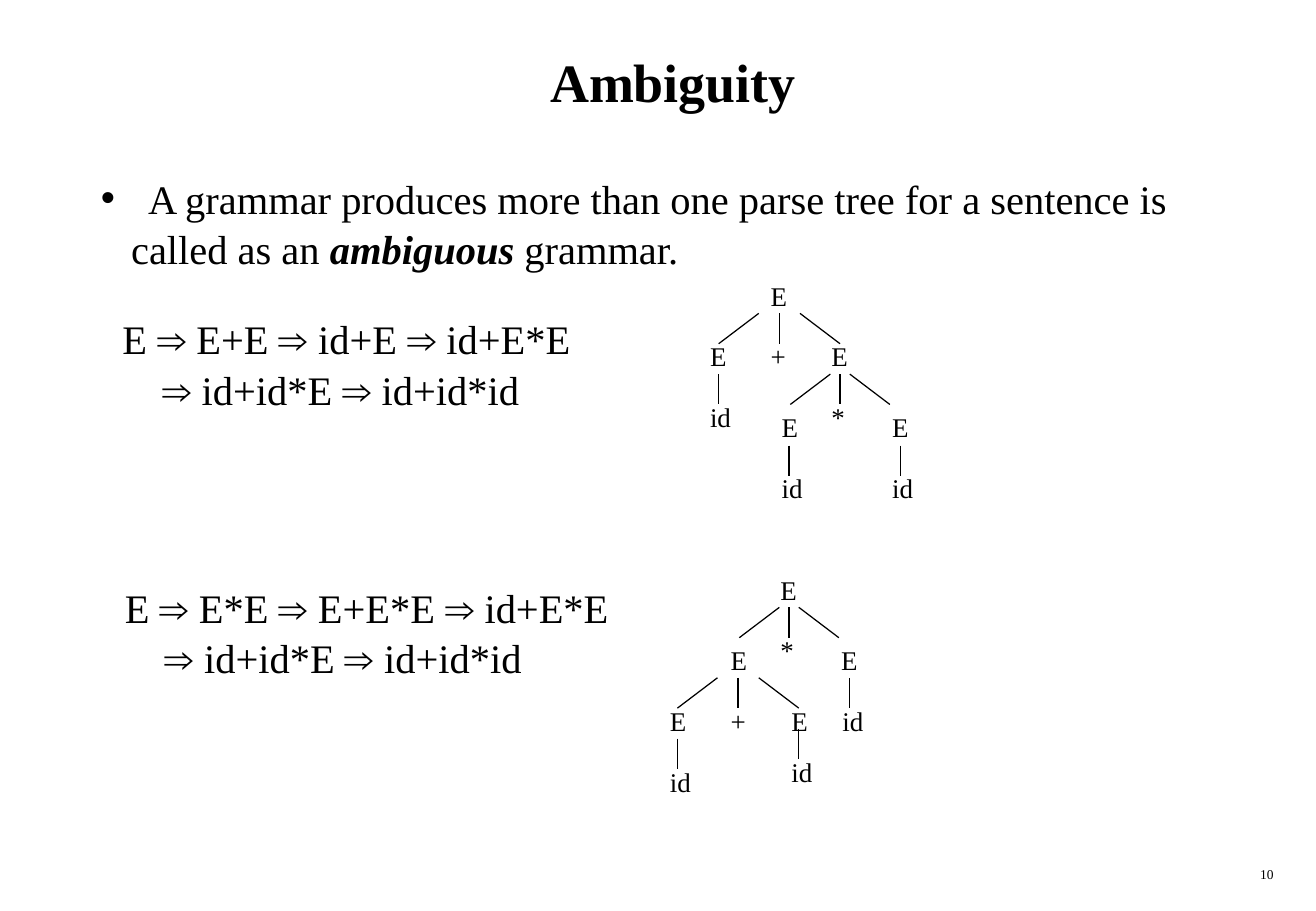
from itertools import groupby

from lxml import etree
from pptx import Presentation
from pptx.dml.color import RGBColor
from pptx.enum import shapes, text
from pptx.oxml import ns
from pptx.util import Inches, Pt

SERIF, ARROW_FONT, BLACK = "Times New Roman", "Arial", "000000"
TITLE = "Ambiguity"
PAGE_NUMBER = "10"
DEFINITION = [
    (0.39, -0.39, [("A grammar produces more than one parse tree for a sentence is", False)]),
    (0.25, 0, [("called as an ", False), ("ambiguous", True), (" grammar.", False)]),
]
DERIVATIONS = [
    (0.91, 2.54, ["E ⇒ E+E ⇒ id+E ⇒ id+E*E", "⇒ id+id*E ⇒ id+id*id"]),
    (0.93, 4.75, ["E ⇒ E*E ⇒ E+E*E ⇒ id+E*E", "⇒ id+id*E ⇒ id+id*id"]),
]
TREES = [
    {
        "nodes": [
            ("E", 6.25, 2.25), ("E", 5.75, 2.75), ("+", 6.25, 2.75), ("E", 6.75, 2.75),
            ("id", 5.75, 3.25), ("*", 6.75, 3.25), ("E", 6.34, 3.33), ("E", 7.25, 3.33),
            ("id", 6.34, 3.83), ("id", 7.25, 3.83),
        ],
        "fans": [(6.42, 2.58, 0.17), (6.92, 3.08, 0.08)],
        "stems": [(5.92, 3.08), (6.5, 3.67), (7.42, 3.67)],
    },
    {
        "nodes": [
            ("E", 6.33, 4.67), ("*", 6.33, 5.17), ("E", 5.92, 5.25), ("E", 6.83, 5.25),
            ("E", 5.42, 5.75), ("+", 5.92, 5.75), ("E", 6.42, 5.75), ("id", 6.84, 5.75),
            ("id", 6.42, 6.17), ("id", 5.42, 6.25),
        ],
        "fans": [(6.5, 5, 0.08), (6.08, 5.58, 0.17)],
        "stems": [(7, 5.58), (6.58, 6), (5.58, 6.08)],
    },
]
BRANCH_DROP, BRANCH_SPREAD = 0.25, 0.33


def colour(value):
    return RGBColor.from_string(value)


def place(shape, left, top, width, height):
    shape.left, shape.top = Inches(left), Inches(top)
    shape.width, shape.height = Inches(width), Inches(height)


def style(para, size, bold=None):
    para.font.size = Pt(size)
    para.font.name = SERIF
    para.font.bold = bold
    para.font.color.rgb = colour(BLACK)


def indent(para, margin, first=0):
    properties = para._p.get_or_add_pPr()
    properties.set("marL", str(Inches(margin)))
    properties.set("indent", str(Inches(first)))
    return properties


def add_label(parent, words, left, top, width, height, size):
    box = parent.add_textbox(*map(Inches, (left, top, width, height)))
    box.text_frame.word_wrap = True
    para = box.text_frame.paragraphs[0]
    para.text = words
    style(para, size)
    return para


def add_branch(parent, start, top, end):
    line = parent.add_connector(
        shapes.MSO_CONNECTOR.STRAIGHT,
        *map(Inches, (start, top, end, top + BRANCH_DROP)),
    )
    line.line.color.rgb = colour(BLACK)
    line.line.width = Pt(0.75)
    etree.SubElement(line._element.spPr, ns.qn("a:effectLst"))


def add_lines(frame, count):
    while len(frame.paragraphs) < count:
        frame.add_paragraph()
    for para in frame.paragraphs:
        style(para, 24)
        para.space_before = Pt(0)
        para.space_after = Pt(1)
    return frame.paragraphs


def add_definition(body):
    place(body, 0.73, 1.38, 9.4, 0.9)
    body.text_frame.auto_size = text.MSO_AUTO_SIZE.NONE
    paras = add_lines(body.text_frame, len(DEFINITION))
    for para, (margin, first, spans) in zip(paras, DEFINITION):
        properties = indent(para, margin, first)
        if not first:
            properties.insert_element_before(
                etree.Element(ns.qn("a:buNone")), "a:tabLst", "a:defRPr", "a:extLst"
            )
        for words, strong in spans:
            span = para.add_run()
            span.text = words
            if strong:
                span.font.bold = span.font.italic = True


def add_derivation(page, left, top, lines):
    box = page.shapes.add_textbox(*map(Inches, (left, top, 4.6, 0.9)))
    box.text_frame.word_wrap = True
    paras = add_lines(box.text_frame, len(lines))
    indent(paras[1], 0.33)
    for para, line in zip(paras, lines):
        for is_arrow, letters in groupby(line, lambda letter: letter == "⇒"):
            span = para.add_run()
            span.text = "".join(letters)
            span.font.name = ARROW_FONT if is_arrow else SERIF


def add_tree(page, tree):
    group = page.shapes.add_group_shape().shapes
    for centre, top, inner in tree["fans"]:
        outer = inner + BRANCH_SPREAD
        for side in (-1, 0, 1):
            add_branch(group, centre + side * inner, top, centre + side * outer)
    for centre, top in tree["stems"]:
        add_branch(group, centre, top, centre)
    for symbol, left, top in tree["nodes"]:
        add_label(group, symbol, left, top, 0.42, 0.37, 16)


def main():
    deck = Presentation()
    deck.slide_width, deck.slide_height = Inches(10.84), Inches(7.5)
    page = deck.slides.add_slide(deck.slide_layouts[1])

    title = page.shapes.title
    place(title, 0.42, 0.17, 10.25, 1)
    title.text_frame.text = TITLE
    title.text_frame.vertical_anchor = text.MSO_ANCHOR.MIDDLE
    heading = title.text_frame.paragraphs[0]
    heading.alignment = text.PP_ALIGN.CENTER
    style(heading, 32, True)

    add_definition(page.placeholders[1])
    for derivation in DERIVATIONS:
        add_derivation(page, *derivation)
    for tree in TREES:
        add_tree(page, tree)
    number = add_label(page.shapes, PAGE_NUMBER, 8.33, 7.08, 2.26, 0.25, 8)
    number.alignment = text.PP_ALIGN.RIGHT
    deck.save("out.pptx")


if __name__ == "__main__":
    main()
